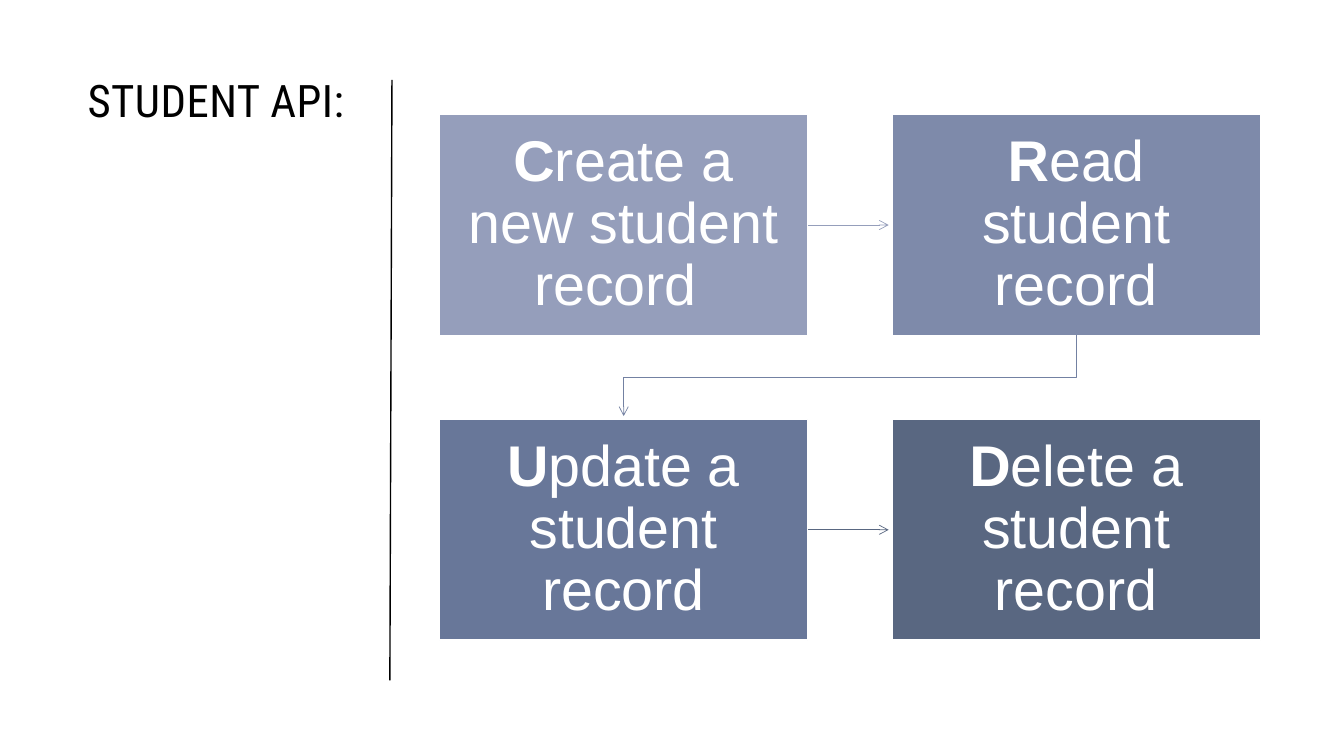
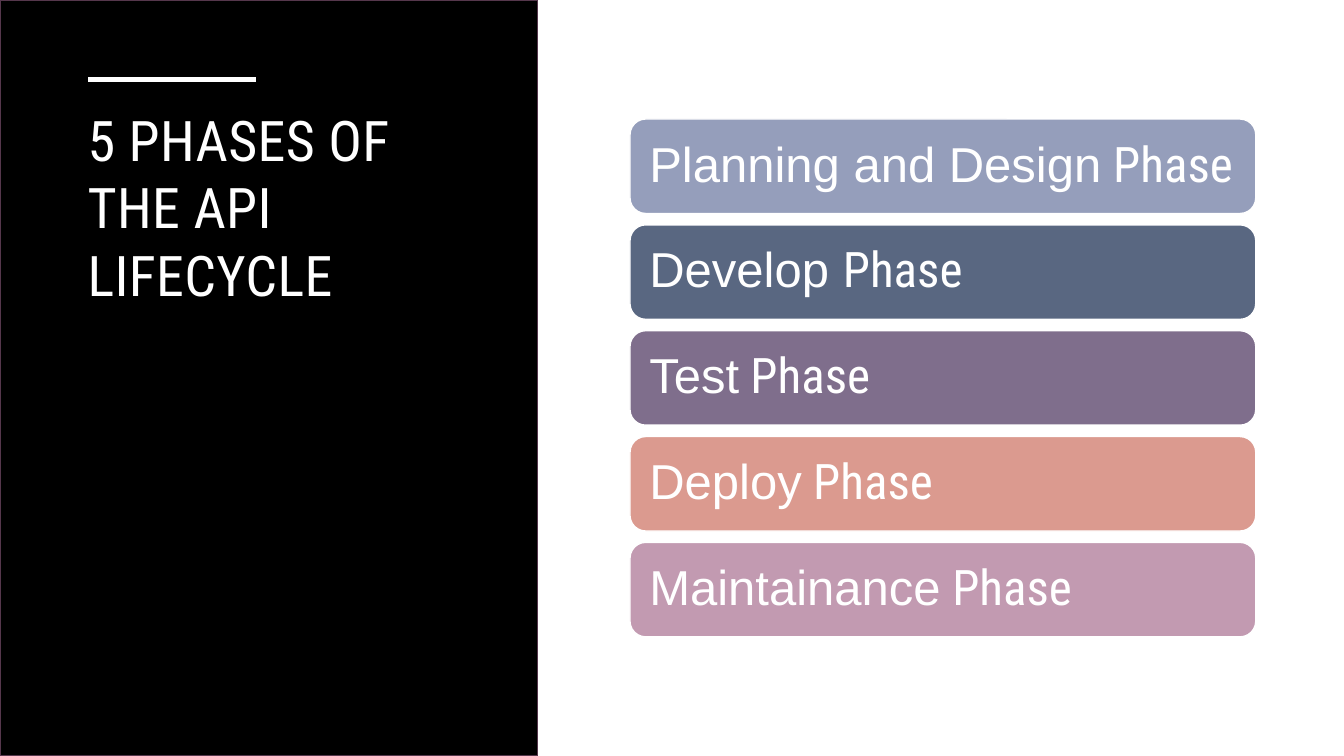
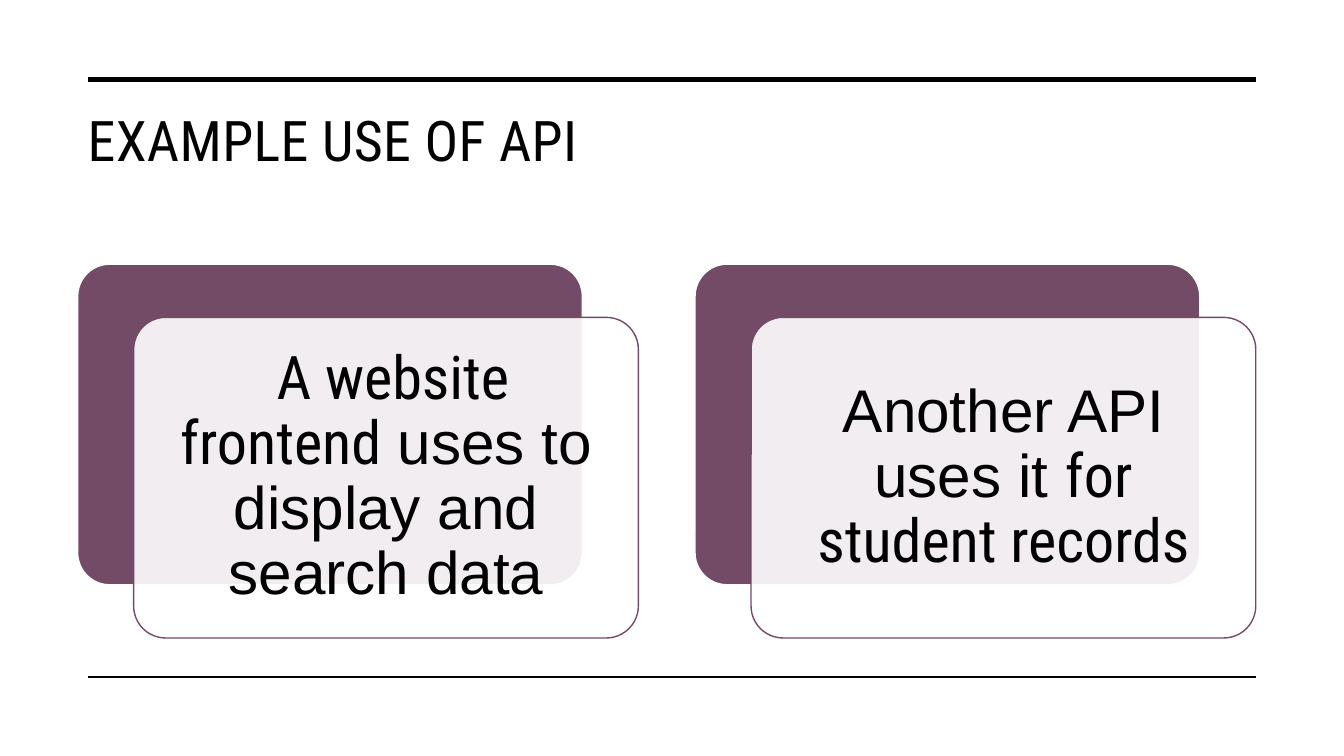
from dataclasses import dataclass

from lxml.etree import SubElement
from pptx import Presentation
from pptx.dml.color import RGBColor
from pptx.enum.shapes import MSO_CONNECTOR as Connector, MSO_SHAPE as Preset
from pptx.enum.text import MSO_ANCHOR as Anchor, PP_ALIGN as Align
from pptx.oxml.ns import qn
from pptx.util import Pt


# Theme
@dataclass(frozen=True)
class Theme:
    black: str = "000000"
    white: str = "FFFFFF"
    plum: str = "734B67"
    panel_edge: str = "55374C"
    periwinkle: str = "959EBB"
    steel: str = "7E8AAA"
    slate: str = "687799"
    navy: str = "596781"
    bend: str = "7381A2"
    mauve: str = "7F6E8C"
    coral: str = "DB9A8F"
    pink: str = "C29AB1"
    heading_font: str = "Roboto Condensed"
    body_font: str = "Arial"
    small_title: float = 32
    title: float = 40
    operation: float = 41
    phase: float = 35
    example: float = 43
    thin: float = 0.5
    edge: float = 1
    rule: float = 3.5


THEME = Theme()
MARGIN, TITLE_LEFT, RIGHT, RULE_TOP = 63.2, 55.5, 897, 57


@dataclass(frozen=True)
class Box:
    left: float
    top: float
    width: float
    height: float


@dataclass(frozen=True)
class Span:
    text: str
    font: str = THEME.body_font
    bold: bool = False


@dataclass(frozen=True)
class Operation:
    initial: str
    rest: str
    fill: str


@dataclass(frozen=True)
class Phase:
    spans: tuple[Span, ...]
    fill: str


def rgb(code: str) -> RGBColor:
    return RGBColor.from_string(code)


# Shared drawing functions
def write(frame, spans: tuple[Span, ...], size: float, color: str,
          align: Align = Align.LEFT) -> None:
    frame.word_wrap = True
    paragraph = frame.paragraphs[0]
    paragraph.text = spans[0].text
    for span in spans[1:]:
        paragraph.add_run().text = span.text
    paragraph.alignment = align
    for run, span in zip(paragraph.runs, spans):
        run.font.name = span.font
        run.font.size = Pt(size)
        run.font.bold = span.bold
        run.font.color.rgb = rgb(color)


def draw_title(slide, text: str, box: Box, size: float = THEME.title,
               color: str = THEME.black) -> None:
    title = slide.shapes.add_textbox(Pt(box.left), Pt(box.top), Pt(box.width), Pt(box.height))
    write(title.text_frame, (Span(text, THEME.heading_font),), size, color)
    for run in title.text_frame.paragraphs[0].runs:
        run.font._element.set("spc", "30")


def draw_block(slide, preset: Preset, box: Box, fill: str, edge: str = THEME.white):
    block = slide.shapes.add_shape(preset, Pt(box.left), Pt(box.top), Pt(box.width), Pt(box.height))
    block.shadow.inherit = False
    block.fill.solid()
    block.fill.fore_color.rgb = rgb(fill)
    block.line.color.rgb = rgb(edge)
    block.line.width = Pt(THEME.edge)
    return block


def label_block(block, spans: tuple[Span, ...], size: float, color: str,
                inset: float, align: Align) -> None:
    frame = block.text_frame
    frame.margin_left = frame.margin_right = Pt(inset)
    frame.margin_top = frame.margin_bottom = Pt(inset)
    frame.vertical_anchor = Anchor.MIDDLE
    write(frame, spans, size, color, align)
    frame.paragraphs[0].line_spacing = 0.9


def add_arrowhead(line) -> None:
    SubElement(line._get_or_add_ln(), qn("a:tailEnd"), type="arrow")


def draw_line(slide, start: tuple[float, float], end: tuple[float, float],
              color: str, width: float, arrow: bool = False) -> None:
    line = slide.shapes.add_connector(Connector.STRAIGHT, *map(Pt, start + end))
    line.line.color.rgb = rgb(color)
    line.line.width = Pt(width)
    if arrow:
        add_arrowhead(line.line)
    SubElement(line._element.spPr, qn("a:effectLst"))


def draw_bent_arrow(slide, points: list[tuple[float, float]], color: str) -> None:
    start, *rest = [(Pt(x), Pt(y)) for x, y in points]
    builder = slide.shapes.build_freeform(*start)
    builder.add_line_segments(rest, close=False)
    bend = builder.convert_to_shape()
    bend.shadow.inherit = False
    bend.fill.background()
    bend.line.color.rgb = rgb(color)
    bend.line.width = Pt(THEME.thin)
    add_arrowhead(bend.line)


# Slide 1: the four operations
def build_operations(slide) -> None:
    operations = (
        Operation("C", "reate a new student record ", THEME.periwinkle),
        Operation("R", "ead student record", THEME.steel),
        Operation("U", "pdate a student record", THEME.slate),
        Operation("D", "elete a student record", THEME.navy),
    )
    left, top, width, height = 314, 82, 263, 157.5
    column_step, row_step, clearance = 323.3, 217.7, 2.5

    draw_title(slide, "STUDENT API:", Box(TITLE_LEFT, 48.5, 199, 353.5), THEME.small_title)
    draw_line(slide, (278.5, 486), (280, RULE_TOP), THEME.black, THEME.edge)

    for index, operation in enumerate(operations):
        row, column = divmod(index, 2)
        box = Box(left + column * column_step, top + row * row_step, width, height)
        block = draw_block(slide, Preset.RECTANGLE, box, operation.fill)
        spans = (Span(operation.initial, bold=True), Span(operation.rest))
        label_block(block, spans, THEME.operation, THEME.white, 13, Align.CENTER)

    # Arrows along the rows and back between them
    for row, color in enumerate((THEME.periwinkle, THEME.navy)):
        middle = top + row * row_step + height / 2
        draw_line(slide, (left + width, middle), (left + column_step - clearance, middle),
                  color, THEME.thin, arrow=True)
    first_center = left + width / 2
    second_center = first_center + column_step
    halfway = (top + height + top + row_step) / 2
    draw_bent_arrow(slide, [(second_center, top + height), (second_center, halfway),
                            (first_center, halfway),
                            (first_center, top + row_step - clearance)], THEME.bend)


# Slide 2: the phases
def build_phases(slide) -> None:
    heading = THEME.heading_font
    phases = (
        Phase((Span("Planning and Design"), Span(" Phase", heading)), THEME.periwinkle),
        Phase((Span("Develop "), Span("Phase", heading)), THEME.navy),
        Phase((Span("Test"), Span(" Phase", heading)), THEME.mauve),
        Phase((Span("Deploy"), Span(" Phase", heading)), THEME.coral),
        Phase((Span("Maintainance"), Span(" Phase", heading)), THEME.pink),
    )
    draw_block(slide, Preset.RECTANGLE, Box(0, 0, 384, 540), THEME.black, THEME.panel_edge)
    draw_line(slide, (MARGIN, RULE_TOP), (183, RULE_TOP), THEME.white, THEME.rule)
    draw_title(slide, "5 PHASES OF THE API LIFECYCLE", Box(TITLE_LEFT, 72, 293, 288.5),
               color=THEME.white)
    for index, phase in enumerate(phases):
        box = Box(450, 85 + index * 75.6, 447, 67.5)
        bar = draw_block(slide, Preset.ROUNDED_RECTANGLE, box, phase.fill)
        # The rounded corners add to this inset
        label_block(bar, phase.spans, THEME.phase, THEME.white, 10.5, Align.LEFT)


# Slide 3: the examples
def build_examples(slide) -> None:
    heading = THEME.heading_font
    examples = (
        (Span(" A website frontend", heading), Span(" uses to display and search data")),
        (Span("Another API uses it "), Span("for student records", heading)),
    )
    for y, width in ((RULE_TOP, THEME.rule), (483.7, THEME.edge)):
        draw_line(slide, (MARGIN, y), (RIGHT, y), THEME.black, width)
    draw_title(slide, "EXAMPLE USE OF API", Box(TITLE_LEFT, 71.5, 841.5, 90.5))

    for index, spans in enumerate(examples):
        back = Box(55.5 + index * 441, 188.7, 360.5, 229)
        front = Box(back.left + 40, back.top + 38, back.width, back.height)
        shade = draw_block(slide, Preset.ROUNDED_RECTANGLE, back, THEME.plum)
        card = draw_block(slide, Preset.ROUNDED_RECTANGLE, front, THEME.white, THEME.plum)
        for layer in (shade, card):
            layer.adjustments[0] = 0.1
        tint = card._element.spPr.find(qn("a:solidFill")).find(qn("a:srgbClr"))
        SubElement(tint, qn("a:alpha"), val="90000")
        label_block(card, spans, THEME.example, THEME.black, 19.5, Align.CENTER)


def main() -> None:
    deck = Presentation()
    deck.slide_width, deck.slide_height = Pt(960), Pt(540)
    blank = deck.slide_layouts[6]
    for build in (build_operations, build_phases, build_examples):
        build(deck.slides.add_slide(blank))
    deck.save("out.pptx")


if __name__ == "__main__":
    main()
